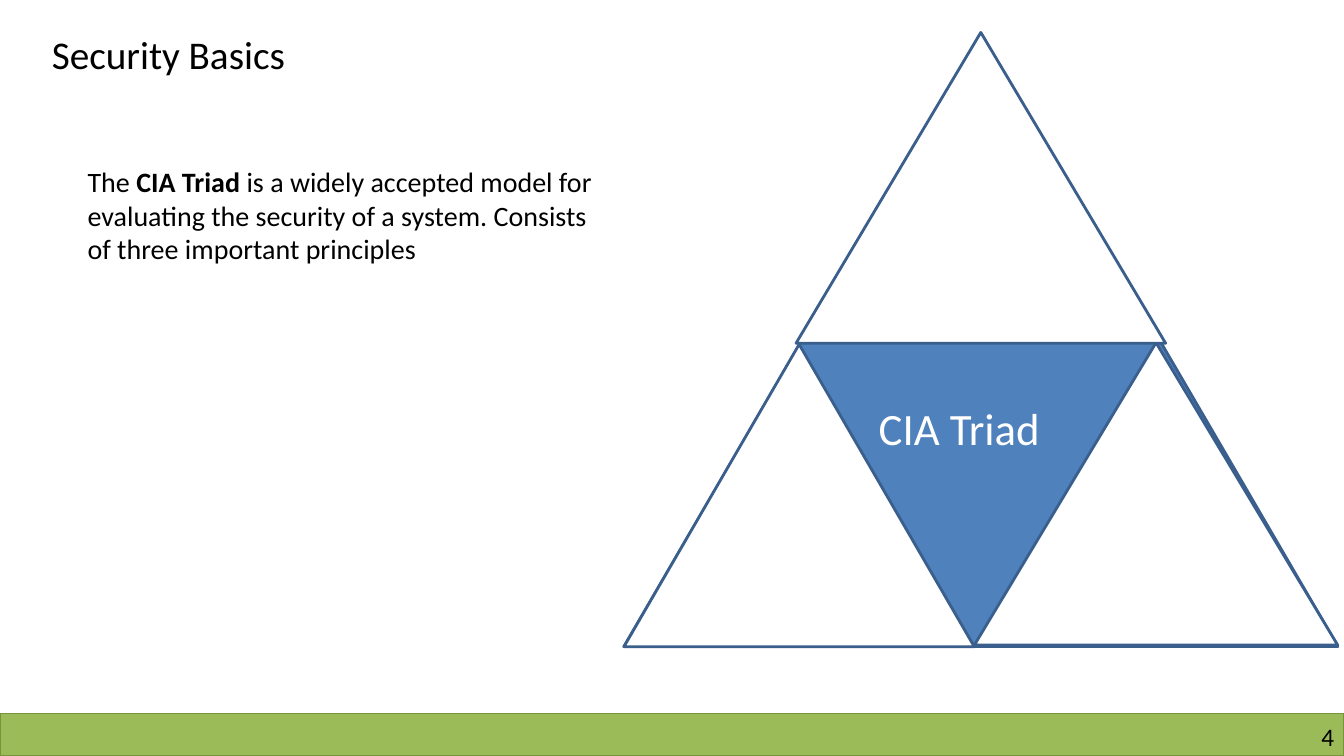
from pptx import Presentation
from pptx.dml.color import RGBColor
from pptx.enum.shapes import MSO_SHAPE
from pptx.enum.text import PP_ALIGN
from pptx.util import Pt

BLACK = RGBColor(0x00, 0x00, 0x00)
WHITE = RGBColor(0xFF, 0xFF, 0xFF)
BLUE = RGBColor(0x4F, 0x81, 0xBD)
DARK_BLUE = RGBColor(0x3A, 0x5F, 0x8C)
GREEN = RGBColor(0x9B, 0xBB, 0x59)
DARK_GREEN = RGBColor(0x77, 0x93, 0x3C)


class SlidePainter:
    """Draws styled elements on one slide, with lengths in points."""

    font = "Calibri"

    def __init__(self, page):
        self.page = page

    def shape(self, kind, bounds, fill, line, line_width):
        shape = self.page.shapes.add_shape(kind, *map(Pt, bounds))
        shape.shadow.inherit = False
        shape.fill.solid()
        shape.fill.fore_color.rgb = fill
        shape.line.color.rgb = line
        shape.line.width = Pt(line_width)

    def triangle(self, bounds, fill=WHITE):
        self.shape(MSO_SHAPE.ISOSCELES_TRIANGLE, bounds, fill, DARK_BLUE, 2)

    def text(self, bounds, spans, size, color=BLACK, align=PP_ALIGN.LEFT, insets=(7.2, 3.6)):
        box = self.page.shapes.add_textbox(*map(Pt, bounds))
        frame = box.text_frame
        frame.word_wrap = True
        frame.margin_left = frame.margin_right = Pt(insets[0])
        frame.margin_top = frame.margin_bottom = Pt(insets[1])
        para = frame.paragraphs[0]
        para.alignment = align
        for words, bold in spans:
            span = para.add_run()
            span.text = words
            span.font.name = self.font
            span.font.size = Pt(size)
            span.font.bold = bold
            span.font.color.rgb = color


def main():
    deck = Presentation()
    deck.slide_width, deck.slide_height = Pt(960), Pt(540)
    painter = SlidePainter(deck.slides.add_slide(deck.slide_layouts[6]))

    painter.shape(MSO_SHAPE.RECTANGLE, (0, 509.8, 960, 30.2), GREEN, DARK_GREEN, 1)
    painter.text((732, 515, 221, 21.6), [("4", False)], 18, align=PP_ALIGN.RIGHT, insets=(0, 0))
    painter.text((30, 18, 208, 41), [("Security Basics", False)], 28)

    painter.triangle((445.7, 23.8, 510, 438), BLUE)
    painter.triangle((445.7, 246, 250.3, 216))
    painter.triangle((696, 244.8, 259.5, 216))
    painter.triangle((568.6, 23.2, 264, 222))

    painter.text((620.6, 283, 151.2, 46), [("CIA Triad", False)], 32, WHITE)
    painter.text((55.5, 114, 390, 80), [
        ("The ", False),
        ("CIA Triad ", True),
        ("is a widely accepted model for evaluating the security of a system. "
         "Consists of three important principles", False),
    ], 20)

    deck.save("out.pptx")


if __name__ == "__main__":
    main()
